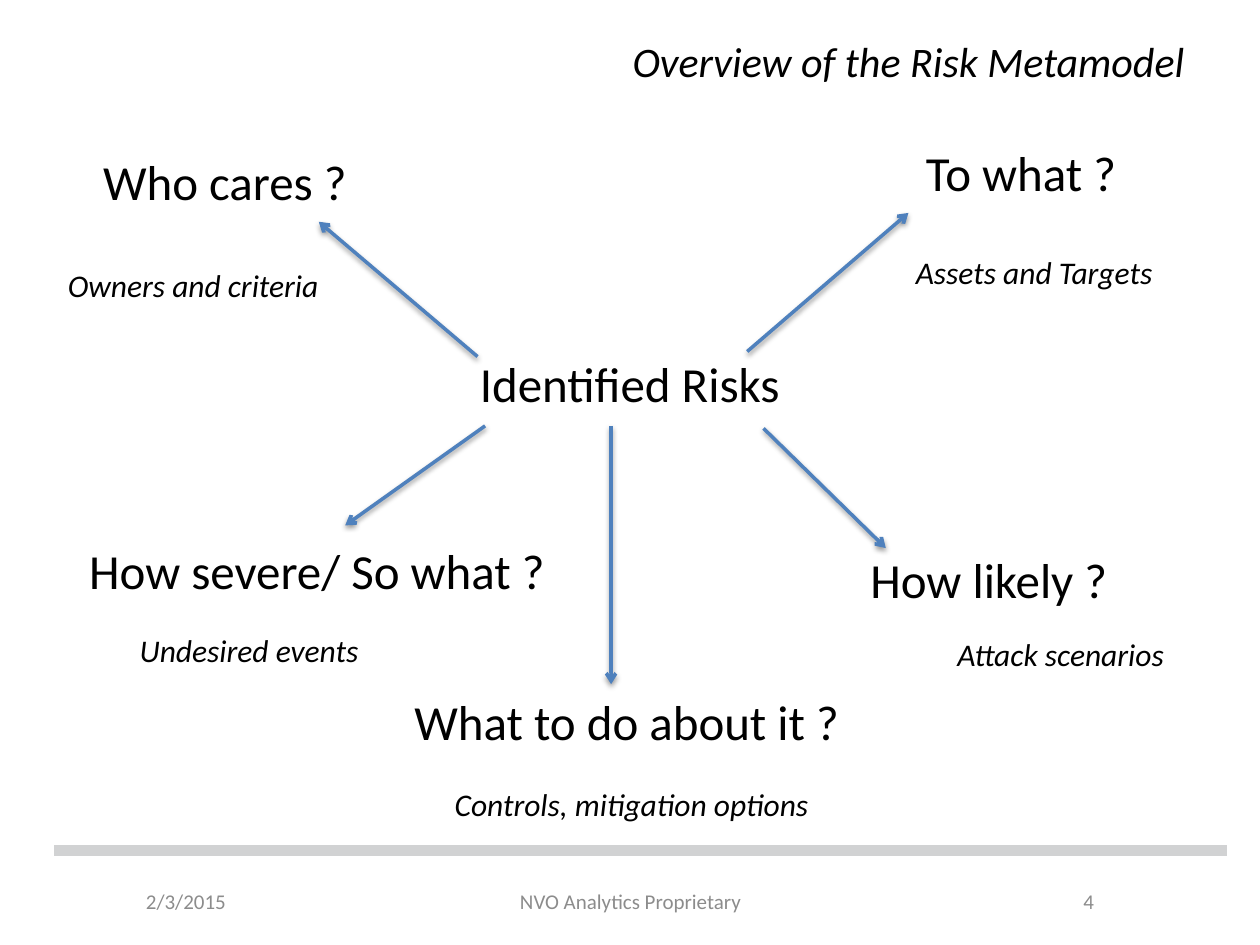
from lxml.etree import SubElement
from pptx import Presentation
from pptx.dml.color import RGBColor
from pptx.enum.shapes import MSO_CONNECTOR, MSO_SHAPE
from pptx.enum.text import MSO_ANCHOR, PP_ALIGN
from pptx.oxml.ns import qn
from pptx.util import Inches, Pt

COLORS = {"text": "000000", "footer": "8C8C8C", "rule": "D1D2D3",
          "arrow": "4F81BD", "background": "FFFFFF"}
FONT = "Calibri"
FOOTER_TOP, FOOTER_HEIGHT = 6.95, 0.4
QUESTION_HEIGHT, ANSWER_HEIGHT = 0.57, 0.4

TITLE = ("Overview of the Risk Metamodel", (0.5, 0.21, 9, 0.55))
CENTER = ("Identified Risks", (3.71, 2.76, 2.61, QUESTION_HEIGHT))
FOOTERS = [
    ("2/3/2015", 1.06, 1.77, PP_ALIGN.LEFT),
    ("NVO Analytics Proprietary", 3.42, 3.17, PP_ALIGN.CENTER),
    ("4", 7.17, 1.61, PP_ALIGN.RIGHT),
]
BRANCHES = [
    {"question": ("To what ?", 7.25, 1.08, 1.73),
     "answer": ("Assets and Targets", 7.17, 1.96, 2.16),
     "arrow": ((5.93, 2.79), (7.21, 1.69))},
    {"question": ("Who cares ?", 0.72, 1.15, 2.16),
     "answer": ("Owners and criteria", 0.44, 2.06, 2.27),
     "arrow": ((3.79, 2.83), (2.53, 1.76))},
    {"question": ("How severe/ So what ?", 0.61, 4.24, 3.86),
     "answer": ("Undesired events", 1.01, 4.96, 2.02),
     "arrow": ((3.85, 3.38), (2.74, 4.17))},
    {"question": ("How likely ?", 6.81, 4.31, 2.1),
     "answer": ("Attack scenarios", 7.5, 4.99, 1.93),
     "arrow": ((6.06, 3.4), (7.03, 4.35))},
    {"question": ("What to do about it ?", 3.19, 5.44, 3.61),
     "answer": ("Controls, mitigation options", 3.51, 6.18, 3.1),
     "arrow": ((4.85, 3.38), (4.85, 5.43))},
]


def rgb(name):
    return RGBColor.from_string(COLORS[name])


def write(shape, text, size, color="text", italic=False,
          align=PP_ALIGN.LEFT, anchor=MSO_ANCHOR.TOP, wrap=False):
    frame = shape.text_frame
    frame.word_wrap = wrap
    frame.vertical_anchor = anchor
    paragraph = frame.paragraphs[0]
    paragraph.text = text
    paragraph.alignment = align
    paragraph.font.name = FONT
    paragraph.font.size = Pt(size)
    paragraph.font.italic = italic
    paragraph.font.color.rgb = rgb(color)


def add_text(slide, box, text, size, **style):
    shape = slide.shapes.add_textbox(*map(Inches, box))
    write(shape, text, size, **style)


def add_line(slide, start, end, color, width):
    line = slide.shapes.add_connector(MSO_CONNECTOR.STRAIGHT, *map(Inches, start + end))
    line.line.color.rgb = rgb(color)
    line.line.width = Pt(width)
    effects = SubElement(line._element.spPr, qn("a:effectLst"))
    return line, effects


def add_arrow(slide, start, end):
    arrow, effects = add_line(slide, start, end, "arrow", 2)
    SubElement(arrow.line._get_or_add_ln(), qn("a:tailEnd"), type="arrow")
    shadow = SubElement(effects, qn("a:outerShdw"), blurRad=str(Pt(3.1)),
                        dist=str(Pt(1.6)), dir="5400000", rotWithShape="0")
    shade = SubElement(shadow, qn("a:srgbClr"), val=COLORS["text"])
    SubElement(shade, qn("a:alpha"), val="38000")


def add_center(slide):
    text, box = CENTER
    shape = slide.shapes.add_shape(MSO_SHAPE.RECTANGLE, *map(Inches, box))
    shape.shadow.inherit = False
    shape.fill.solid()
    shape.fill.fore_color.rgb = rgb("background")
    shape.line.fill.background()
    write(shape, text, 28)


def main():
    presentation = Presentation()
    presentation.slide_width = Inches(10)
    presentation.slide_height = Inches(7.5)
    slide = presentation.slides.add_slide(presentation.slide_layouts[6])

    for text, left, width, align in FOOTERS:
        add_text(slide, (left, FOOTER_TOP, width, FOOTER_HEIGHT), text, 12,
                 color="footer", align=align, anchor=MSO_ANCHOR.MIDDLE, wrap=True)
    add_line(slide, (0.43, 6.75), (9.74, 6.75), "rule", 6)

    title, title_box = TITLE
    add_text(slide, title_box, title, 24, italic=True, align=PP_ALIGN.RIGHT,
             anchor=MSO_ANCHOR.MIDDLE, wrap=True)

    add_center(slide)
    for branch in BRANCHES:
        text, left, top, width = branch["question"]
        add_text(slide, (left, top, width, QUESTION_HEIGHT), text, 28)
        text, left, top, width = branch["answer"]
        add_text(slide, (left, top, width, ANSWER_HEIGHT), text, 18, italic=True)
        add_arrow(slide, *branch["arrow"])

    presentation.save("out.pptx")


if __name__ == "__main__":
    main()
